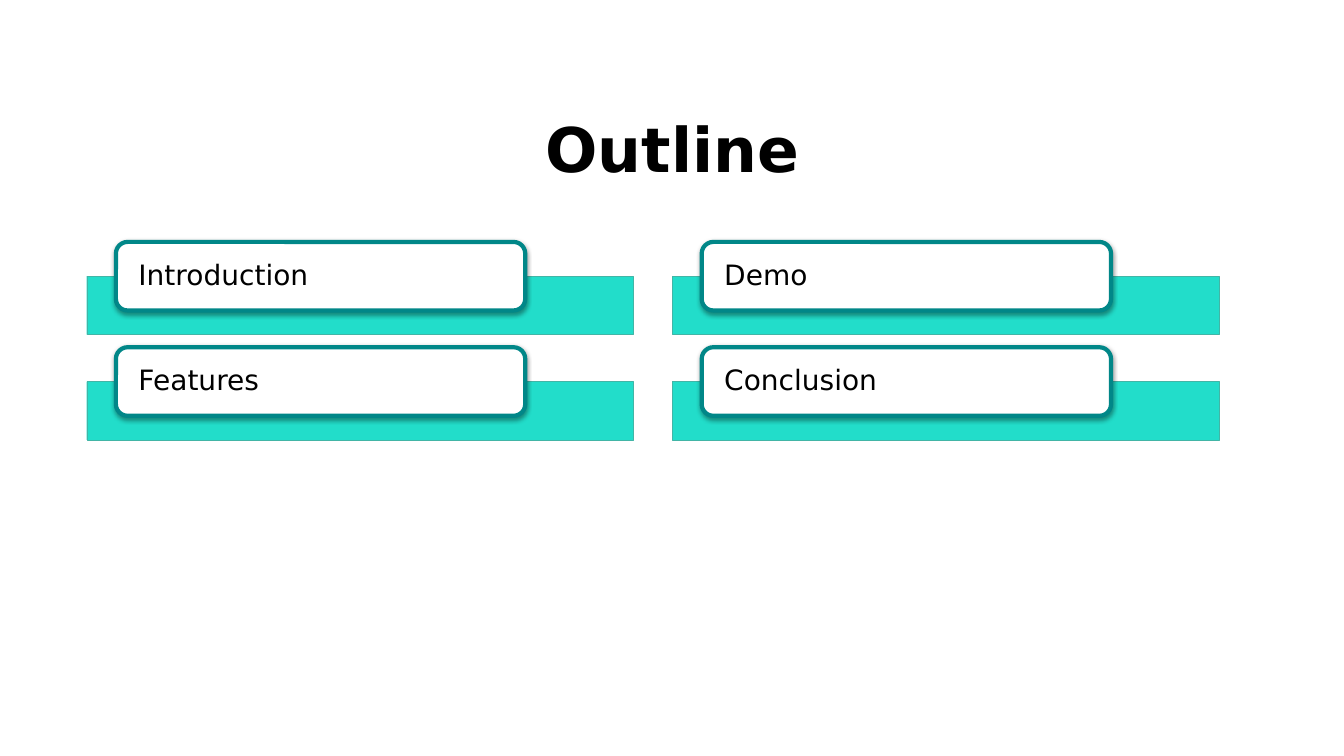
"""Build the outline slide: a title and a grid of labelled bars."""
import lxml.etree
import pptx
import pptx.dml.color
import pptx.enum.shapes
import pptx.enum.text
import pptx.oxml.ns
import pptx.util
from pptx.util import Inches

RGBColor = pptx.dml.color.RGBColor
BLACK = RGBColor(0x00, 0x00, 0x00)
WHITE = RGBColor(0xFF, 0xFF, 0xFF)
TURQUOISE = RGBColor(0x0B, 0xDA, 0xC5)
BAR_EDGE = RGBColor(0x42, 0xB5, 0xA6)
TEAL = RGBColor(0x01, 0x87, 0x88)

FONT = "DejaVu Sans"
COLUMNS = [["Introduction", "Features"], ["Demo", "Conclusion"]]
LEFT, TOP = 0.86, 2.4
COLUMN_STEP, ROW_STEP = 5.81, 1.045


def add_xml(parent, tag, **attributes):
    return lxml.etree.SubElement(parent, pptx.oxml.ns.qn(tag), attributes)


def format_run(r, size, bold=False):
    r.font.name = FONT
    r.font.size = pptx.util.Pt(size)
    r.font.bold = bold
    r.font.color.rgb = BLACK


def add_box(slide, kind, left, top, width, height, fill, line, weight):
    sp = slide.shapes.add_shape(
        kind, Inches(left), Inches(top), Inches(width), Inches(height))
    sp.shadow.inherit = False
    sp.fill.solid()
    sp.fill.fore_color.rgb = fill
    sp.line.color.rgb = line
    sp.line.width = pptx.util.Pt(weight)
    return sp


def add_shadow(sp):
    effects = sp._element.spPr.find(pptx.oxml.ns.qn("a:effectLst"))
    shadow = add_xml(effects, "a:outerShdw", blurRad="40000", dist="20000",
                     dir="5400000", rotWithShape="0")
    color = add_xml(shadow, "a:srgbClr", val=str(BLACK))
    add_xml(color, "a:alpha", val="38000")


def add_bar(slide, left, top):
    sp = add_box(slide, pptx.enum.shapes.MSO_SHAPE.RECTANGLE,
                 left, top, 5.42, 0.58, TURQUOISE, BAR_EDGE, 0.25)
    color = sp._element.spPr.find(".//" + pptx.oxml.ns.qn("a:srgbClr"))
    add_xml(color, "a:alpha", val="90000")


def add_label(slide, left, top, text):
    sp = add_box(slide, pptx.enum.shapes.MSO_SHAPE.ROUNDED_RECTANGLE,
                 left, top, 4.06, 0.68, WHITE, TEAL, 3)
    sp.adjustments[0] = 0.17
    add_shadow(sp)
    tf = sp.text_frame
    tf.text = text
    tf.word_wrap = True
    tf.vertical_anchor = pptx.enum.text.MSO_ANCHOR.MIDDLE
    tf.margin_left, tf.margin_right = Inches(0.19), Inches(0.15)
    tf.margin_top = tf.margin_bottom = Inches(0.03)
    p = tf.paragraphs[0]
    p.alignment = pptx.enum.text.PP_ALIGN.LEFT
    p.line_spacing = 0.9
    format_run(p.runs[0], 20)


def set_title(slide, text):
    sp = slide.shapes.title
    sp.left, sp.top = Inches(4.83), Inches(0.98)
    sp.width, sp.height = Inches(3.68), Inches(0.97)
    tf = sp.text_frame
    tf.text = text
    tf.auto_size = pptx.enum.text.MSO_AUTO_SIZE.NONE
    tf.vertical_anchor = pptx.enum.text.MSO_ANCHOR.MIDDLE
    p = tf.paragraphs[0]
    p.alignment = pptx.enum.text.PP_ALIGN.CENTER
    format_run(p.runs[0], 44, bold=True)


def main():
    prs = pptx.Presentation()
    prs.slide_width, prs.slide_height = Inches(13.33), Inches(7.5)
    slide = prs.slides.add_slide(prs.slide_layouts[5])
    set_title(slide, "Outline")
    for column, topics in enumerate(COLUMNS):
        for row, topic in enumerate(topics):
            left = LEFT + column * COLUMN_STEP
            top = TOP + row * ROW_STEP
            add_bar(slide, left, top + 0.34)
            add_label(slide, left + 0.29, top, topic)
    prs.save("out.pptx")


if __name__ == "__main__":
    main()
